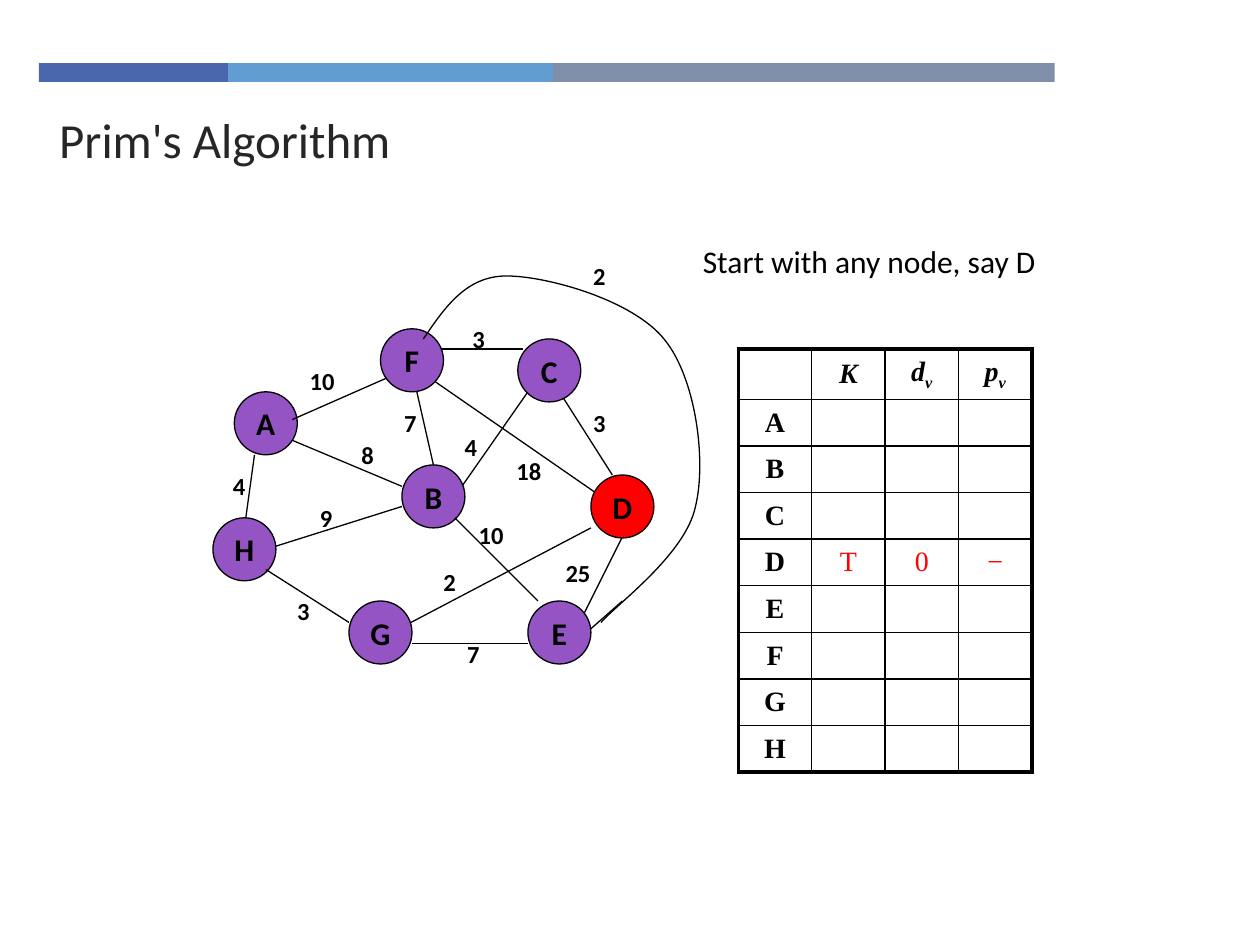
import pptx
import pptx.util
import pptx.dml.color
import pptx.enum.shapes
import pptx.enum.text
import pptx.oxml
import pptx.oxml.ns
from lxml import etree

Inches, Pt = pptx.util.Inches, pptx.util.Pt
qn = pptx.oxml.ns.qn
Shape = pptx.enum.shapes.MSO_SHAPE
Align = pptx.enum.text.PP_ALIGN
Middle = pptx.enum.text.MSO_ANCHOR.MIDDLE

COLORS = {"blue": "4A66AC", "sky": "629DD1", "slate": "7F8FA9", "node": "9454C3",
          "start": "FF0000", "ink": "000000", "title": "262626"}
BARS = [("blue", 1.5), ("sky", 2.58), ("slate", 3.98)]
TITLE = "Prim's Algorithm"
NOTE = "Start with any node, say D"
SIZE = 0.5
NODES = {"A": (1.86, 3.11), "H": (1.69, 4.11), "B": (3.19, 3.69), "F": (3.02, 2.61),
         "E": (4.19, 4.77), "D": (4.69, 3.77), "C": (4.11, 2.69), "G": (2.77, 4.77)}
START = "D"
BACK = [
    ((5.06, 4.02), (4.64, 4.86), "25", (4.39, 4.38)),
    ((3.27, 2.94), (3.44, 3.69), "7", (3.11, 3.19)),
    ((3.61, 3.94), (4.19, 3.11), "4", (3.59, 3.38)),
    ((4.77, 3.94), (3.44, 3.02), "18", (4, 3.57)),
    ((2.11, 4.36), (3.19, 4.02), "9", (2.44, 3.94)),
    ((3.11, 5.02), (4.69, 4.19), "2", (3.42, 4.45)),
    ((1.94, 4.19), (2.02, 3.61), "4", (1.75, 3.69)),
    ((2.19, 3.44), (3.19, 3.86), "8", (2.77, 3.44)),
    ((3.49, 2.77), (4.15, 2.77), "3", (3.65, 2.52)),
    ((4.44, 3.11), (4.86, 3.77), "3", (4.61, 3.19)),
]
FRONT = [
    ((3.61, 4.11), (4.27, 4.77), "10", (3.7, 4.08)),
    ((4.19, 5.11), (3.27, 5.11), "7", (3.61, 5.02)),
    ((2.77, 4.94), (2.11, 4.52), "3", (2.26, 4.68)),
    ((2.32, 3.33), (3.07, 3), "10", (2.36, 2.86)),
    ((4.94, 4.77), (4.69, 4.99), "2", (4.61, 2.02)),
]
CURVE = [(3.36, 2.69), (3.53, 2.44), (3.7, 2.19), (4.02, 2.19),
         (4.34, 2.19), (5.02, 2.38), (5.27, 2.69),
         (5.52, 2.99), (5.61, 3.65), (5.52, 4.02),
         (5.44, 4.4), (4.9, 4.79), (4.77, 4.94)]
HEAD = ["", "K", "d_v", "p_v"]
ROWS = [[name, "", "", ""] for name in "ABCDEFGH"]
ROWS[3][1:] = ["T", "0", "−"]


def color(name):
    return pptx.dml.color.RGBColor.from_string(COLORS[name])


def style(run, size, ink="ink", bold=False, face="Calibri"):
    font = run.font
    font.size, font.bold, font.name = Pt(size), bold, face
    font.color.rgb = color(ink)


def box(x, y, w, h, text, size, bold=False):
    frame = slide.shapes.add_textbox(Inches(x), Inches(y), Inches(w), Inches(h)).text_frame
    frame.word_wrap = True
    frame.vertical_anchor = Middle
    frame.text = text
    style(frame.paragraphs[0].runs[0], size, bold=bold)


def solid(kind, x, y, w, h, fill):
    shape = slide.shapes.add_shape(kind, Inches(x), Inches(y), Inches(w), Inches(h))
    shape.shadow.inherit = False
    shape.fill.solid()
    shape.fill.fore_color.rgb = color(fill)
    return shape


def stroke(line):
    line.color.rgb = color("ink")
    line.width = Pt(0.75)


def join(edges):
    for start, end, weight, spot in edges:
        ends = [Inches(v) for v in start + end]
        line = slide.shapes.add_connector(pptx.enum.shapes.MSO_CONNECTOR.STRAIGHT, *ends)
        stroke(line.line)
        etree.SubElement(line._element.spPr, qn("a:effectLst"))


def border(cell, tag, width):
    line = etree.SubElement(cell._tc.get_or_add_tcPr(), qn("a:" + tag), w=str(Pt(width)))
    fill = etree.SubElement(line, qn("a:solidFill"))
    etree.SubElement(fill, qn("a:srgbClr"), val=COLORS["ink"])


deck = pptx.Presentation()
deck.slide_width, deck.slide_height = Inches(10), Inches(7.5)
slide = deck.slides.add_slide(deck.slide_layouts[5])

left = 0.31
for fill, width in BARS:
    solid(Shape.RECTANGLE, left, 0.5, width, 0.15, fill).line.fill.background()
    left += width

title = slide.shapes.title
title.left, title.top, title.width, title.height = [Inches(v) for v in (0.37, 0.8, 7.16, 0.6)]
title.text_frame.text = TITLE
title.text_frame.vertical_anchor = Middle
title.text_frame.paragraphs[0].alignment = Align.LEFT
style(title.text_frame.paragraphs[0].runs[0], 28, "title")

join(BACK)
for name, (x, y) in NODES.items():
    node = solid(Shape.OVAL, x, y, SIZE, SIZE, "start" if name == START else "node")
    stroke(node.line)
    node.text_frame.text = name
    node.text_frame.word_wrap = False
    node.text_frame.vertical_anchor = Middle
    node.text_frame.paragraphs[0].alignment = Align.CENTER
    style(node.text_frame.paragraphs[0].runs[0], 18, bold=True)
join(FRONT)
for start, end, weight, (x, y) in BACK + FRONT:
    box(x, y, 0.33 if len(weight) == 1 else 0.52, 0.33, weight, 14, True)
box(5.48, 1.86, 3.17, 0.43, NOTE, 18)

pen = slide.shapes.build_freeform(*[Inches(v) for v in CURVE[0]])
pen.add_line_segments([(Inches(x), Inches(y)) for x, y in CURVE[1:]], close=False)
arc = pen.convert_to_shape()
arc.shadow.inherit = False
arc.fill.background()
stroke(arc.line)
legs = list(arc._element.iter(qn("a:lnTo")))
for i in range(0, len(legs), 3):
    bend = etree.Element(qn("a:cubicBezTo"))
    legs[i].addprevious(bend)
    for leg in legs[i:i + 3]:
        bend.append(leg[0])
        leg.getparent().remove(leg)

cells = [HEAD] + ROWS
high, wide = len(cells), len(HEAD)
table = slide.shapes.add_table(high, wide, Inches(5.86), Inches(2.77),
                               Inches(2.33), Inches(3.36)).table
table.first_row = table.horz_banding = False
for col in table.columns:
    col.width = Inches(2.33 / wide)
for r, texts in enumerate(cells):
    table.rows[r].height = Inches(0.4 if r == 0 else 0.37)
    for c, text in enumerate(texts):
        cell = table.cell(r, c)
        cell.margin_top = cell.margin_bottom = Inches(0.03)
        cell.vertical_anchor = Middle
        edges = {"lnL": c == 0, "lnR": c == wide - 1, "lnT": r == 0, "lnB": r == high - 1}
        for tag, outer in edges.items():
            border(cell, tag, 2.25 if outer else 1)
        cell.fill.background()
        para = cell.text_frame.paragraphs[0]
        para.alignment = Align.CENTER
        if not text:
            continue
        base, _, sub = text.partition("_")
        para.text = base
        if sub:
            low = para.add_run()
            low.text = sub
            low._r.get_or_add_rPr().set("baseline", "-25000")
        value = r > 0 and c > 0
        for run in para.runs:
            style(run, 16, "start" if value else "ink", not value, "Times New Roman")
            run.font.italic = r == 0

deck.save("out.pptx")
